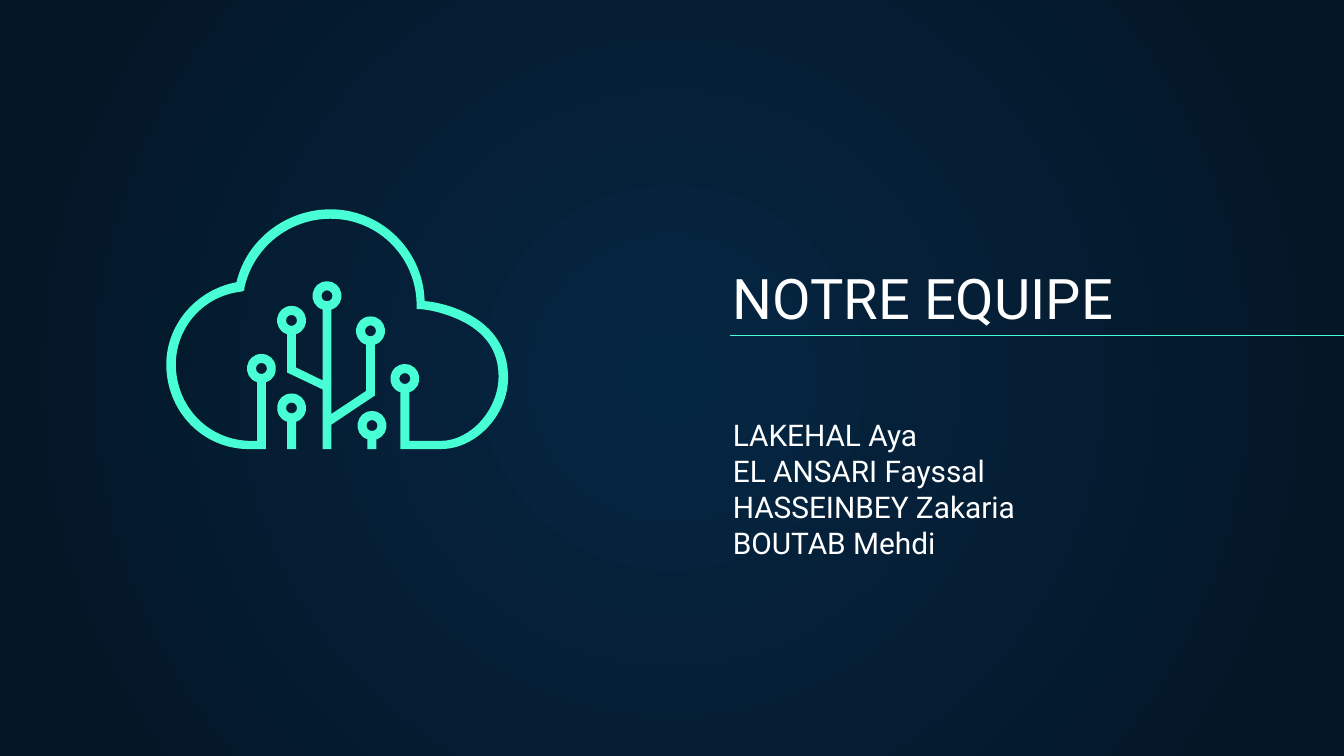
from dataclasses import dataclass
from math import asin, cos, pi, sin, tan

from lxml import etree
from pptx import Presentation
from pptx.dml.color import RGBColor
from pptx.enum.shapes import MSO_CONNECTOR
from pptx.enum.text import MSO_ANCHOR, MSO_AUTO_SIZE, PP_ALIGN
from pptx.oxml import parse_xml
from pptx.oxml.ns import nsdecls, qn
from pptx.util import Pt

STRAIGHT = MSO_CONNECTOR.STRAIGHT
LEFT = PP_ALIGN.LEFT
TOP, BOTTOM = MSO_ANCHOR.TOP, MSO_ANCHOR.BOTTOM
NO_FIT = MSO_AUTO_SIZE.NONE


@dataclass(frozen=True)
class Theme:
    font: str = "Roboto"
    head: int = 30
    body: int = 16
    text: RGBColor = RGBColor(0xFF, 0xFF, 0xFF)
    mint: RGBColor = RGBColor(0x48, 0xFF, 0xD5)
    glow: RGBColor = RGBColor(0x05, 0x26, 0x43)
    edge: RGBColor = RGBColor(0x04, 0x15, 0x23)


THEME = Theme()

# Content
TITLE = ["NOTRE EQUIPE"]
TEAM = ["LAKEHAL Aya", "EL ANSARI Fayssal", "HASSEINBEY Zakaria", "BOUTAB Mehdi"]

# Icon outlines in points: "N" node centre, "L" corner, "C" curve
RING, HOLE, STEM = 7.75, 2.95, 2.4
BASE = 240.6
TREE = [
    ("N", 198.5, 177.3), ("L", 196.1, 209.5), ("L", 177.6, 221.8),
    ("N", 175.2, 158.5), ("L", 172.8, 203.8), ("L", 158.6, 196.9),
    ("N", 156.2, 171.7), ("L", 153.8, 199.6), ("L", 172.8, 208.6),
    ("L", 172.8, BASE), ("L", 177.6, BASE), ("L", 177.6, 227.5),
    ("L", 200.9, 211.9),
]
CLOUD = [
    ("L", 227.5, 161.3),
    ("C", 226.8, 135.4, 206.6, 114.5, 181.4, 112.3),
    ("C", 156.2, 110.2, 132.5, 126.7, 126.7, 151.2),
    ("C", 103.7, 155.5, 87.1, 176.4, 89.3, 199.4),
    ("C", 91.4, 223.2, 110.9, 241.2, 134.6, BASE),
    ("L", 142.5, BASE), ("N", 140.1, 197.4),
    ("L", 137.7, 236.2), ("L", 134.6, 236.2),
    ("C", 113, 236.2, 95.8, 219.6, 94.3, 198),
    ("C", 92.9, 177.1, 108, 158.4, 129.6, 156.2),
    ("L", 131, 155.5), ("L", 131, 154.1),
    ("C", 136.1, 131, 157.7, 115.2, 181.4, 117.4),
    ("C", 205.2, 119.5, 223.2, 139.7, 223.2, 163.4),
    ("L", 223.2, 165.6), ("L", 225.4, 165.6),
    ("C", 232.6, 166.3, 239.8, 168.5, 246.2, 171.4),
    ("C", 259.9, 177.8, 267.1, 187.9, 267.1, 201.6),
    ("C", 267.1, 219.6, 252, 236.2, 236.2, 236.2),
    ("L", 219.3, 236.2), ("N", 216.9, 202.8),
    ("L", 214.5, BASE), ("L", 236.2, BASE),
    ("C", 254.9, BASE, 272.2, 222.5, 272.2, 202.3),
    ("C", 272.2, 169.2, 236.9, 162, 227.5, 161.3),
]
BUDS = [(156.2, 218.6), (199.3, 228)]


def stub(x, y):
    """A node on a short straight stem."""
    return [("N", x, y), ("L", x - STEM, BASE), ("L", x + STEM, BASE)]


def arc(x, y, size, start, end, count):
    """Return a start point and then a few curves, three points each."""
    step = (end - start) / count
    pull = 4 / 3 * tan(step / 4)

    def at(turn, reach):
        return (x + size * (sin(turn) + reach * cos(turn)),
                y + size * (cos(turn) - reach * sin(turn)))

    turns = [start + step * i for i in range(count + 1)]
    return [[at(start, 0)]] + [[at(a, pull), at(b, -pull), at(b, 0)]
                               for a, b in zip(turns, turns[1:])]


def trace(parts):
    """Return the outer contour, then one hole for each node."""
    outer, holes = [], []
    gap = asin(STEM / RING)
    for kind, *nums in parts:
        if kind == "N":
            outer += arc(*nums, RING, gap, 2 * pi - gap, 2)
            holes.append(arc(*nums, HOLE, 2 * pi, 0, 3))
        else:
            outer.append(list(zip(nums[::2], nums[1::2])))
    return [outer, *holes]


def bend(shape, loops):
    """Join each three points of a curve into one Bezier."""
    lines = iter(list(shape.element.iter(qn("a:lnTo"))))
    for part in (part for loop in loops for part in loop[1:]):
        group = [next(lines) for _ in part]
        if len(group) == 3:
            curve = etree.Element(qn("a:cubicBezTo"))
            group[0].addprevious(curve)
            for line in group:
                curve.append(line[0])
                line.getparent().remove(line)


def draw(group, parts):
    loops = trace(parts)
    pen = None
    for loop in loops:
        first, *rest = [(x * 100, y * 100) for part in loop for x, y in part]
        if pen:
            pen.move_to(*first)
        else:
            pen = group.shapes.build_freeform(*first, scale=Pt(1) / 100)
        pen.add_line_segments(rest, close=True)
    shape = pen.convert_to_shape()
    bend(shape, loops)
    shape.shadow.inherit = False
    shape.fill.solid()
    shape.fill.fore_color.rgb = THEME.mint
    shape.line.fill.background()


def write(holder, box, lines, size, anchor):
    holder.left, holder.top, holder.width, holder.height = map(Pt, box)
    frame = holder.text_frame
    frame.auto_size, frame.word_wrap = NO_FIT, True
    frame.vertical_anchor = anchor
    frame.margin_left = frame.margin_right = Pt(7.2)
    frame.margin_top = frame.margin_bottom = Pt(7.2)
    for i, line in enumerate(lines):
        para = frame.add_paragraph() if i else frame.paragraphs[0]
        para.alignment = LEFT
        para.line_spacing = 1.0
        para.space_before = para.space_after = Pt(0)
        run = para.add_run()
        run.text = line
        run.font.name, run.font.size = THEME.font, Pt(size)
        run.font.color.rgb = THEME.text


deck = Presentation()
deck.slide_width, deck.slide_height = Pt(720), Pt(405)
slide = deck.slides.add_slide(deck.slide_layouts[0])

# Radial background
fill = slide.background.fill
fill.gradient()
for stop, color in zip(fill.gradient_stops, (THEME.glow, THEME.edge)):
    stop.color.rgb = color
grad = slide.element.find(".//" + qn("a:gradFill"))
for lin in grad.findall(qn("a:lin")):
    grad.remove(lin)
grad.find(qn("a:gsLst")).addnext(parse_xml(
    f'<a:path {nsdecls("a")} path="circle"><a:fillToRect l="50000" '
    't="50000" r="50000" b="50000"/></a:path>'))

# Title and team
write(slide.shapes.title, (385.4, 136.8, 278, 47.5), TITLE, THEME.head, BOTTOM)
write(slide.placeholders[1], (385.4, 216.2, 272, 111.6), TEAM, THEME.body, TOP)

# Rule under the title
rule = slide.shapes.add_connector(STRAIGHT, Pt(391.3), Pt(179.8), Pt(741.5), Pt(179.8))
rule.line.color.rgb = THEME.mint
rule.line.width = Pt(0.75)
rule.element.spPr.append(parse_xml(f'<a:effectLst {nsdecls("a")}/>'))

# Cloud icon
icon = slide.shapes.add_group_shape()
for parts in (TREE, CLOUD, *(stub(*bud) for bud in BUDS)):
    draw(icon, parts)

deck.save("out.pptx")
